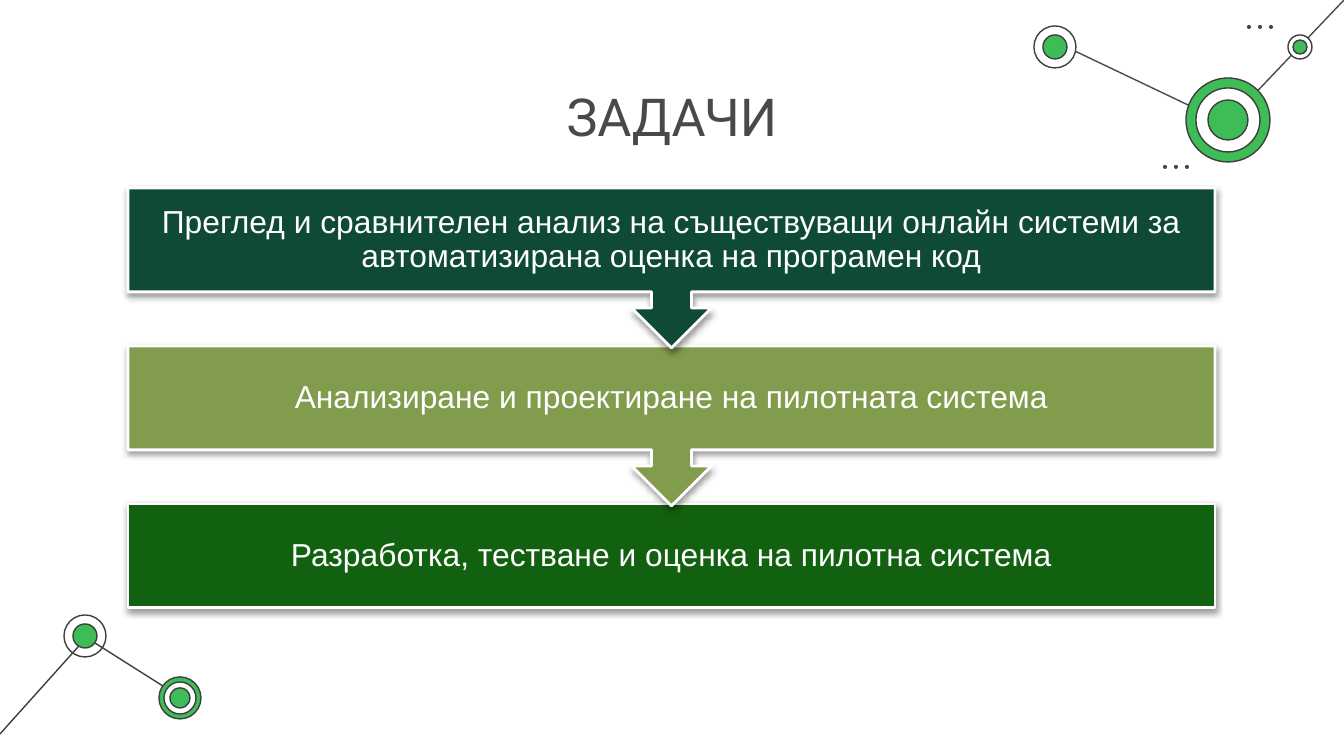
from pptx import Presentation
from pptx.dml.color import RGBColor
from pptx.enum.shapes import MSO_CONNECTOR, MSO_SHAPE
from pptx.enum.text import MSO_ANCHOR, PP_ALIGN
from pptx.oxml import parse_xml
from pptx.oxml.ns import nsdecls
from pptx.util import Emu, Pt

GREEN, WHITE, DARK, GRAY = "3DBC58", "FFFFFF", "3D3D3D", "494949"
SHADOW = (
    '<a:effectLst %s><a:outerShdw blurRad="39370" dist="20320" dir="5400000" rotWithShape="0">'
    '<a:srgbClr val="000000"><a:alpha val="38000"/></a:srgbClr>'
    '</a:outerShdw></a:effectLst>' % nsdecls("a")
)


def px(num):
    return Emu(round(num * 914400 / 134.4))


def color(code):
    return RGBColor.from_string(code)


class Deck:
    """Holds the style and the current slide."""

    def __init__(self):
        self.prs = Presentation()
        self.prs.slide_width, self.prs.slide_height = px(1344), px(756)
        self.slide = self.prs.slides.add_slide(self.prs.slide_layouts[5])

    def label(self, shape, text, font, size, code, inset):
        frame = shape.text_frame
        frame.text = text
        frame.word_wrap = True
        frame.vertical_anchor = MSO_ANCHOR.MIDDLE
        frame.margin_left = frame.margin_right = px(inset)
        frame.margin_top = frame.margin_bottom = px(inset)
        para = frame.paragraphs[0]
        para.alignment = PP_ALIGN.CENTER
        para.line_spacing = 0.9
        run = para.runs[0]
        run.font.name, run.font.size = font, Pt(size)
        run.font.color.rgb = color(code)

    def title(self, text, x, y, w, h):
        shape = self.slide.shapes.title
        shape.left, shape.top, shape.width, shape.height = map(px, (x, y, w, h))
        self.label(shape, text, "Roboto", 28, GRAY, 13)

    def shape(self, kind, x, y, w, h, fill, line, width):
        shape = self.slide.shapes.add_shape(kind, *map(px, (x, y, w, h)))
        shape.shadow.inherit = False
        if fill:
            shape.fill.solid()
            shape.fill.fore_color.rgb = color(fill)
        else:
            shape.fill.background()
        if line:
            shape.line.color.rgb = color(line)
            shape.line.width = Pt(width)
        else:
            shape.line.fill.background()
        return shape

    def link(self, x1, y1, x2, y2, code):
        line = self.slide.shapes.add_connector(
            MSO_CONNECTOR.STRAIGHT, *map(px, (x1, y1, x2, y2)))
        line.line.color.rgb = color(code)
        line.line.width = Pt(0.75)
        line._element.spPr.append(parse_xml("<a:effectLst %s/>" % nsdecls("a")))

    def node(self, x, y, rings):
        for rad, fill in rings:
            self.shape(MSO_SHAPE.OVAL, x - rad, y - rad, 2 * rad, 2 * rad, fill, DARK, 0.75)

    def dots(self, x, y):
        for num in range(3):
            self.shape(MSO_SHAPE.OVAL, x + 11 * num, y, 4, 4, GRAY, None, 0)

    def step(self, kind, text, y, h, fill):
        shape = self.shape(kind, 128, y, 1087, h, fill, WHITE, 1.5)
        props = shape._element.spPr
        props.replace(props.find("{*}effectLst"), parse_xml(SHADOW))
        self.label(shape, text, "Arial", 17, WHITE, 17)


def main():
    deck = Deck()
    for link in [
        (87, 638, 185, 700, DARK),
        (0, 734, 87, 637, DARK),
        (1228, 124, 1058, 43, GRAY),
        (1344, 0, 1228, 122, GRAY),
    ]:
        deck.link(*link)
    for node in [
        (85, 636, [(21, None), (12, GREEN)]),
        (180, 698, [(21, GREEN), (16, WHITE), (10, GREEN)]),
        (1228, 120, [(42, GREEN), (32, WHITE), (20, GREEN)]),
        (1055, 47, [(21, WHITE), (12, GREEN)]),
        (1300, 47, [(12, WHITE), (7, GREEN)]),
    ]:
        deck.node(*node)
    deck.dots(1247, 25)
    deck.dots(1163, 165)
    deck.title("ЗАДАЧИ", 106, 78, 1132, 84)

    box, arrow = MSO_SHAPE.RECTANGLE, MSO_SHAPE.DOWN_ARROW_CALLOUT
    steps = [
        (arrow, "Преглед и сравнителен анализ на съществуващи онлайн системи за "
                "автоматизирана оценка на програмен код", 160, "0F4A36"),
        (arrow, "Анализиране и проектиране на пилотната система", 160, "829C4E"),
        (box, "Разработка, тестване и оценка на пилотна система", 104, "126110"),
    ]
    for num, (kind, text, h, fill) in reversed(list(enumerate(steps))):
        deck.step(kind, text, 188 + 158 * num, h, fill)
    deck.prs.save("out.pptx")


if __name__ == "__main__":
    main()
